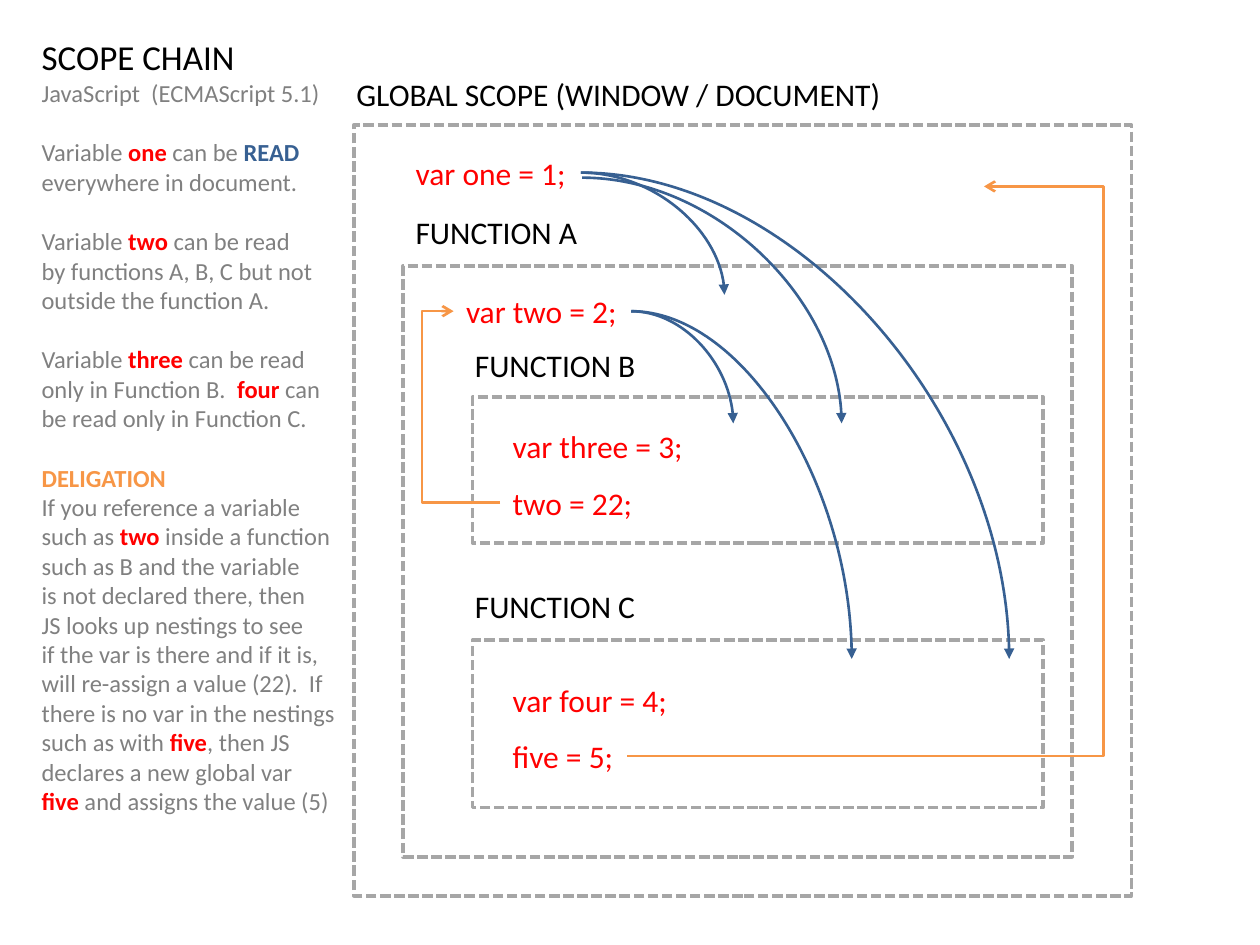
"""Build the scope chain slide on a grid of 100 columns by 75 rows."""
import pptx
import pptx.util
import pptx.dml.color
import pptx.enum.dml
import pptx.enum.shapes
import pptx.enum.text
import pptx.oxml
import pptx.oxml.ns

RGB = pptx.dml.color.RGBColor
BLACK = RGB(0, 0, 0)
WHITE = RGB(255, 255, 255)
GREY = RGB(128, 128, 128)
SILVER = RGB(166, 166, 166)
RED = RGB(255, 0, 0)
BLUE = RGB(55, 96, 146)
AMBER = RGB(247, 150, 70)

COLS, ROWS = 100, 75
WIDE, HIGH = pptx.util.Inches(10), pptx.util.Inches(7.5)
FONT = "Calibri"

TITLE = "SCOPE CHAIN"
NOTES = [
    ["JavaScript  (ECMAScript 5.1)"],
    ["Variable |one| can be |READ|", "everywhere in document."],
    ["Variable |two| can be read", "by functions A, B, C but not", "outside the function A."],
    ["Variable |three| can be read", "only in Function B.  |four| can",
     "be read only in Function C."],
    ["|DELIGATION|", "If you reference a variable", "such as |two| inside a function",
     "such as B and the variable", "is not declared there, then",
     "JS looks up nestings to see", "if the var is there and if it is,",
     "will re-assign a value (22).  If", "there is no var in the nestings",
     "such as with |five|, then JS", "declares a new global var",
     "|five| and assigns the value (5)"],
]
MARKS = {"READ": BLUE, "DELIGATION": AMBER}

SCOPES = [
    (28.1, 9.9, 61.7, 61.2),
    (32, 21.1, 53.1, 46.9),
    (37.5, 31.5, 45.3, 11.6),
    (37.5, 50.8, 45.3, 13.3),
]
HEADS = [
    ("GLOBAL SCOPE (WINDOW / DOCUMENT)", 27.3, 5.5, 44.1),
    ("FUNCTION A", 32, 16.4, 15),
    ("FUNCTION B", 36.7, 27, 14.9),
    ("FUNCTION C", 36.7, 46.1, 14.9),
]
CODE = [
    ("var one = 1;", 32, 11.7, 14.1),
    ("var two = 2;", 36, 22.7, 14.1),
    ("var three = 3;", 39.7, 33.4, 15.7),
    ("two = 22;", 39.7, 37.9, 11.6),
    ("var four = 4;", 39.7, 53.6, 14.4),
    ("five = 5;", 39.7, 58, 10.1),
]
READS = [
    ((46.2, 14.1), (66.8, 33.6)),
    ((46.1, 13.7), (80.1, 52.3)),
    ((46.1, 13.7), (57.5, 23.4)),
    ((50.1, 24.7), (58.2, 33.6)),
    ((50.1, 24.7), (67.6, 52.3)),
]
WRITES = [
    ((39.7, 39.9), (36, 24.7), 33.5),
    ((49.8, 60), (78.1, 14.8), 87.6),
]


def grid(x, y):
    return round(x * WIDE / COLS), round(y * HIGH / ROWS)


def put(item, **form):
    for name, value in form.items():
        setattr(item, name, value)


def place(shape, x, y, w, h):
    left, top = grid(x, y)
    width, height = grid(w, h)
    put(shape, left=left, top=top, width=width, height=height)


def setup(shape):
    frame = shape.text_frame
    put(frame, word_wrap=False, auto_size=pptx.enum.text.MSO_AUTO_SIZE.NONE,
        vertical_anchor=pptx.enum.text.MSO_ANCHOR.TOP)
    return frame


def write(para, text, size, color):
    put(para, alignment=pptx.enum.text.PP_ALIGN.LEFT)
    for i, part in enumerate(text.split("|")):
        if part:
            run = para.add_run()
            put(run, text=part)
            put(run.font, name=FONT, size=pptx.util.Pt(size), bold=i % 2 == 1)
            run.font.color.rgb = MARKS.get(part, RED) if i % 2 else color


def plain(para):
    props = para._p.get_or_add_pPr()
    for name in ("marL", "indent"):
        props.set(name, "0")
    props.append(pptx.oxml.parse_xml(f'<a:buNone {pptx.oxml.ns.nsdecls("a")}/>'))


def notes(shape):
    frame = setup(shape)
    para = frame.paragraphs[0]
    for g, group in enumerate(NOTES):
        for i, text in enumerate(group):
            if g or i:
                para = frame.add_paragraph()
            write(para, text, 14, GREY)
            gap = 17.1 if g and not i else 0
            put(para, space_before=pptx.util.Pt(gap), space_after=pptx.util.Pt(0))
            plain(para)


def scope(slide, spot):
    shape = slide.shapes.add_shape(pptx.enum.shapes.MSO_SHAPE.RECTANGLE, 0, 0, 0, 0)
    place(shape, *spot)
    shape.shadow.inherit = False
    shape.fill.solid()
    shape.fill.fore_color.rgb = WHITE
    put(shape.line, width=pptx.util.Pt(2),
        dash_style=pptx.enum.dml.MSO_LINE.SQUARE_DOT)
    shape.line.color.rgb = SILVER


def label(slide, text, x, y, w, color):
    box = slide.shapes.add_textbox(0, 0, 0, 0)
    place(box, x, y, w, 4)
    write(setup(box).paragraphs[0], text, 18, color)


def arrow(slide, kind, start, end, color, head):
    link = slide.shapes.add_connector(kind, *grid(*start), *grid(*end))
    put(link.line, width=pptx.util.Pt(1.5))
    link.line.color.rgb = color
    space = pptx.oxml.ns.nsdecls("a")
    line = link.line._get_or_add_ln()
    line.append(pptx.oxml.parse_xml(f'<a:tailEnd {space} type="{head}"/>'))
    props = link._element.spPr
    props.append(pptx.oxml.parse_xml(f"<a:effectLst {space}/>"))
    return props.find(pptx.oxml.ns.qn("a:prstGeom"))


def bend(geom, start, end, turn):
    share = round((turn - start[0]) / (end[0] - start[0]) * 100000)
    for old in list(geom):
        geom.remove(old)
    geom.append(pptx.oxml.parse_xml(
        f'<a:avLst {pptx.oxml.ns.nsdecls("a")}><a:gd name="adj1" fmla="val {share}"/></a:avLst>'))


def main():
    deck = pptx.Presentation()
    put(deck, slide_width=WIDE, slide_height=HIGH)
    slide = deck.slides.add_slide(deck.slide_layouts[1])
    title, body = slide.placeholders
    place(title, 2.3, 2.3, 25.6, 4)
    write(setup(title).paragraphs[0], TITLE, 20, BLACK)
    place(body, 2.3, 5.7, 25.6, 59.9)
    notes(body)
    for spot in SCOPES:
        scope(slide, spot)
    for rows, color in ((HEADS, BLACK), (CODE, RED)):
        for row in rows:
            label(slide, *row, color)
    kinds = pptx.enum.shapes.MSO_CONNECTOR
    for start, end in READS:
        geom = arrow(slide, kinds.CURVE, start, end, BLUE, "triangle")
        geom.set("prst", "curvedConnector2")
    for start, end, turn in WRITES:
        geom = arrow(slide, kinds.ELBOW, start, end, AMBER, "arrow")
        bend(geom, start, end, turn)
    deck.save("out.pptx")


if __name__ == "__main__":
    main()
